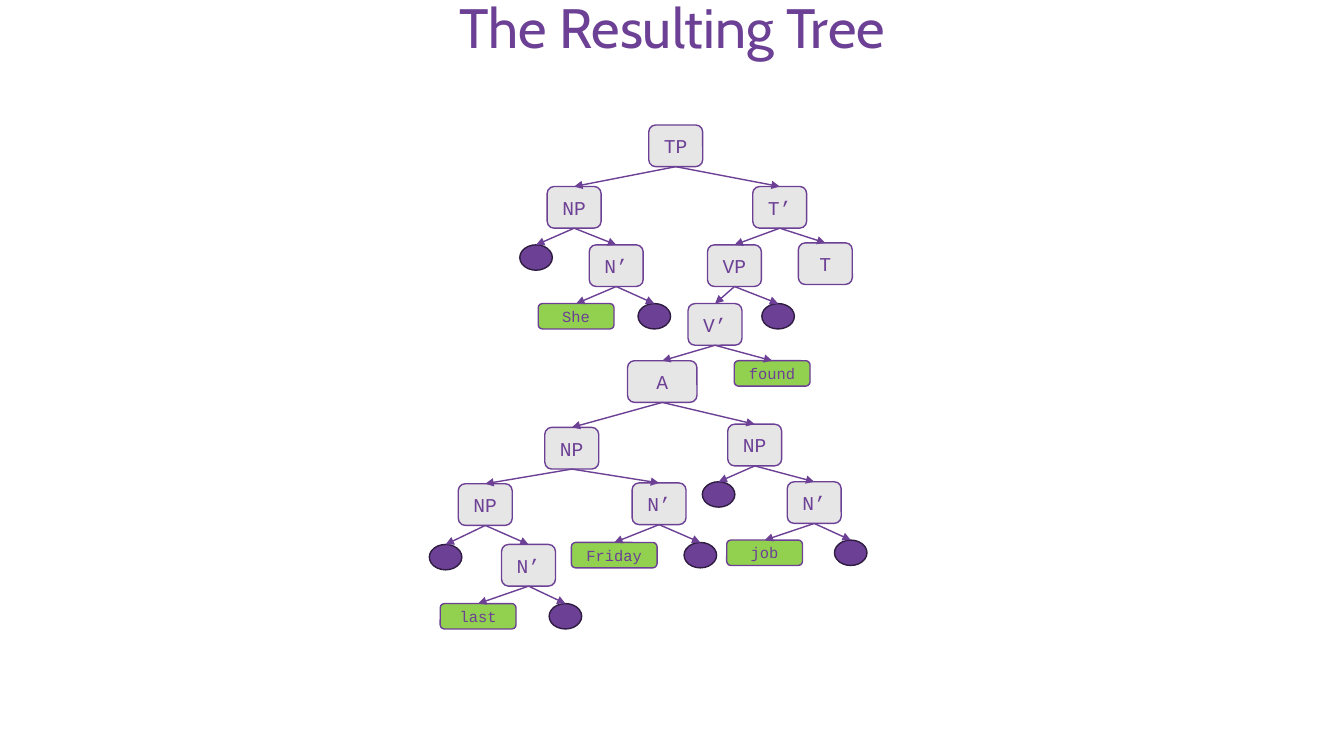
from lxml import etree
from pptx import Presentation
from pptx.dml.color import RGBColor
from pptx.enum.shapes import MSO_CONNECTOR, MSO_SHAPE
from pptx.enum.text import MSO_ANCHOR, MSO_AUTO_SIZE, PP_ALIGN
from pptx.oxml.ns import qn
from pptx.util import Cm, Pt

PURPLE, DARK, GREY, GREEN = "6C4095", "2F1C41", "E7E6E6", "92D050"
BOTTOM, TOP = 2, 0


def color(value):
    return RGBColor.from_string(value)


def format_text(tf, text, font, size):
    tf.word_wrap = True
    tf.vertical_anchor = MSO_ANCHOR.MIDDLE
    tf.margin_left = tf.margin_right = tf.margin_top = tf.margin_bottom = 0
    p = tf.paragraphs[0]
    p.text = text
    p.alignment = PP_ALIGN.CENTER
    p.font.name = font
    p.font.size = Pt(size)
    p.font.color.rgb = color(PURPLE)
    return p


def add_title(s, text):
    sp = s.shapes.title
    sp.left, sp.top, sp.width, sp.height = Cm(2.33), Cm(0.13), Cm(29.21), Cm(1.3)
    p = format_text(sp.text_frame, text, "Cabin", 39.6)
    p.line_spacing = 0.9
    sp.text_frame.auto_size = MSO_AUTO_SIZE.NONE


def add_node(s, preset, cx, top, width, height, fill, line):
    sp = s.shapes.add_shape(preset, Cm(cx - width / 2), Cm(top), Cm(width), Cm(height))
    sp.shadow.inherit = False
    sp.fill.solid()
    sp.fill.fore_color.rgb = color(fill)
    sp.line.color.rgb = color(line)
    sp.line.width = Pt(1)
    return sp


def add_phrase(s, text, cx, top, width=1.36):
    sp = add_node(s, MSO_SHAPE.ROUNDED_RECTANGLE, cx, top, width, 1.05, GREY, PURPLE)
    format_text(sp.text_frame, text, "Courier New", 14)
    return sp


def add_word(s, text, cx, top, width=1.91):
    sp = add_node(s, MSO_SHAPE.ROUNDED_RECTANGLE, cx, top, width, 0.64, GREEN, PURPLE)
    format_text(sp.text_frame, text, "Courier New", 11)
    return sp


def add_dot(s, cx, top):
    return add_node(s, MSO_SHAPE.OVAL, cx, top, 0.82, 0.64, PURPLE, DARK)


def add_branches(s, parent, *children):
    for child in children:
        cn = s.shapes.add_connector(MSO_CONNECTOR.STRAIGHT, 0, 0, 0, 0)
        cn.begin_connect(parent, BOTTOM)
        cn.end_connect(child, TOP)
        cn.line.color.rgb = color(PURPLE)
        cn.line.width = Pt(1)
        etree.SubElement(cn.line._get_or_add_ln(), qn("a:tailEnd"), type="triangle")
        etree.SubElement(cn._element.spPr, qn("a:effectLst"))


def add_noun_bar(s, cx, top, word, word_cx, dot_cx, leaf_top, **size):
    bar = add_phrase(s, "N’", cx, top)
    add_branches(s, bar, add_word(s, word, word_cx, leaf_top, **size),
                 add_dot(s, dot_cx, leaf_top))
    return bar


def add_noun_phrase(s, cx, top, dot_cx, bar):
    phrase = add_phrase(s, "NP", cx, top)
    add_branches(s, phrase, add_dot(s, dot_cx, bar.top.cm), bar)
    return phrase


def add_object(s):
    last = add_noun_phrase(s, 12.23, 12.19, 11.23,
                           add_noun_bar(s, 13.32, 13.72, "last", 12.05, 14.25, 15.21))
    friday = add_noun_bar(s, 16.61, 12.17, "Friday", 15.48, 17.65, 13.67, width=2.16)
    job = add_noun_phrase(s, 19.02, 10.69, 18.11,
                          add_noun_bar(s, 20.52, 12.14, "job", 19.27, 21.44, 13.61))
    friday_phrase = add_phrase(s, "NP", 14.41, 10.77)
    add_branches(s, friday_phrase, last, friday)
    adjunct = add_phrase(s, "A", 16.69, 9.09, width=1.75)
    add_branches(s, adjunct, friday_phrase, job)
    return adjunct


def add_tree(s):
    subject = add_noun_phrase(s, 14.47, 4.7, 13.51,
                              add_noun_bar(s, 15.53, 6.17, "She", 14.52, 16.49, 7.65))
    verb_bar = add_phrase(s, "V’", 18.02, 7.65)
    add_branches(s, verb_bar, add_object(s), add_word(s, "found", 19.46, 9.09))
    verb_phrase = add_phrase(s, "VP", 18.51, 6.17)
    add_branches(s, verb_phrase, verb_bar, add_dot(s, 19.61, 7.65))
    tense_bar = add_phrase(s, "T’", 19.65, 4.7)
    add_branches(s, tense_bar, verb_phrase, add_phrase(s, "T", 20.8, 6.12))
    root = add_phrase(s, "TP", 17.03, 3.15)
    add_branches(s, root, subject, tense_bar)


def main():
    prs = Presentation()
    prs.slide_width, prs.slide_height = Cm(33.87), Cm(19.05)
    s = prs.slides.add_slide(prs.slide_layouts[5])
    add_title(s, "The Resulting Tree")
    add_tree(s)
    prs.save("out.pptx")


if __name__ == "__main__":
    main()
